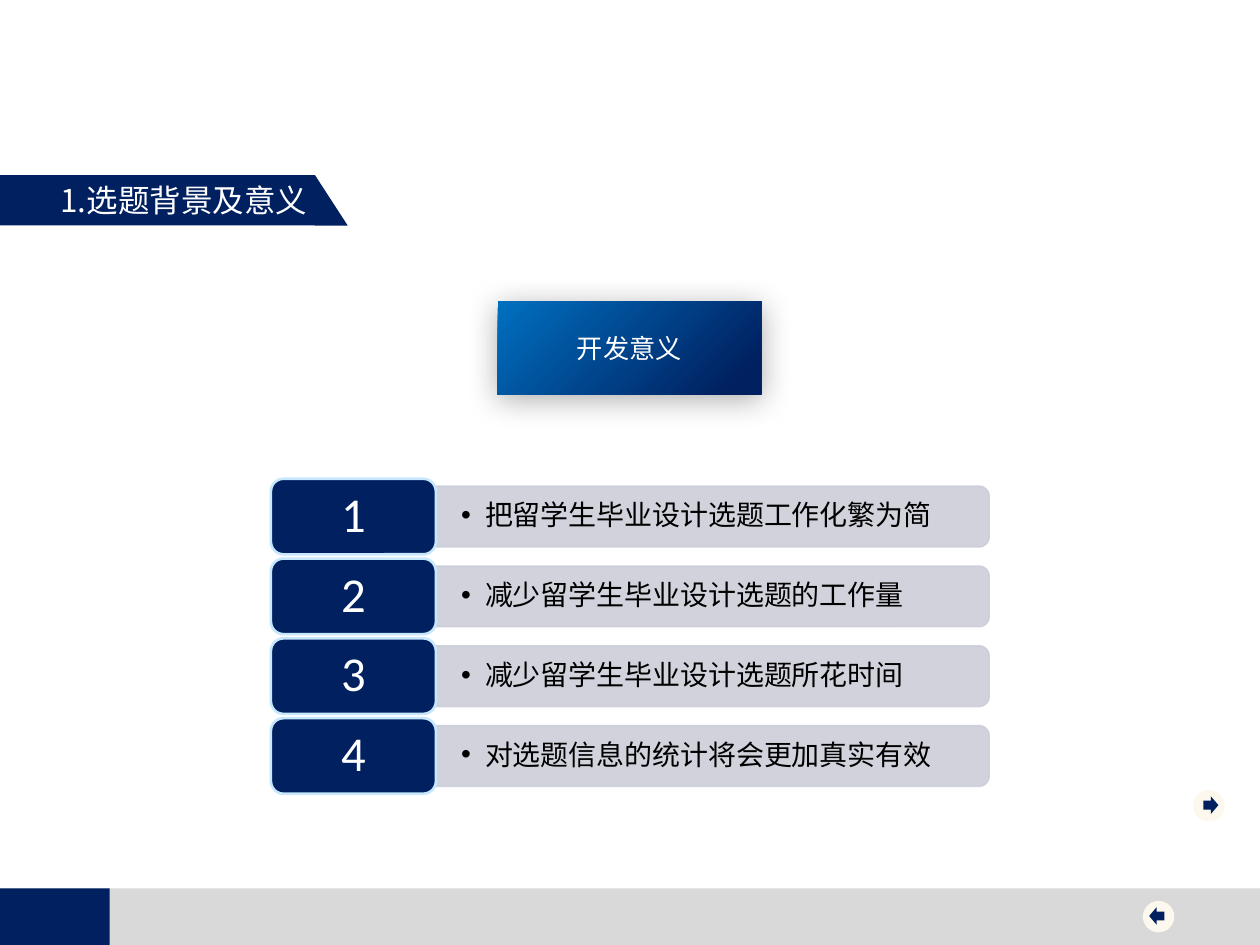
from dataclasses import dataclass
from math import cos, pi, sin

from lxml.etree import SubElement
from pptx import Presentation
from pptx.dml.color import RGBColor
from pptx.enum.shapes import MSO_SHAPE
from pptx.enum.text import MSO_ANCHOR, MSO_AUTO_SIZE, PP_ALIGN
from pptx.oxml.ns import qn
from pptx.util import Inches, Pt


@dataclass(frozen=True)
class Theme:
    navy: str = "002060"
    blue: str = "0070C0"
    grey: str = "D9D9D9"
    cream: str = "FCF8ED"
    bar: str = "CCCED9"
    edge: str = "C6E7FC"
    white: str = "FFFFFF"
    black: str = "000000"
    latin: str = "Calibri"
    cjk: str = "Noto Sans CJK SC"
    head: float = 18
    label: float = 15
    item: float = 16
    num: float = 27.8


T = Theme()
ITEMS = [
    "把留学生毕业设计选题工作化繁为简",
    "减少留学生毕业设计选题的工作量",
    "减少留学生毕业设计选题所花时间",
    "对选题信息的统计将会更加真实有效",
]


def rgb(code):
    return RGBColor.from_string(code)


def assign(obj, form):
    for name, value in form.items():
        setattr(obj, name, value)


def paint(shape, fill, line=None, width=1):
    shape.shadow.inherit = False
    shape.fill.solid()
    shape.fill.fore_color.rgb = rgb(fill)
    if line:
        shape.line.color.rgb = rgb(line)
        shape.line.width = Pt(width)
    else:
        shape.line.fill.background()


def draw(slide, kind, box, fill, line=None, width=1):
    shape = slide.shapes.add_shape(kind, *map(Inches, box))
    paint(shape, fill, line, width)
    return shape


def write(shape, text, size, color, font, pad, align=PP_ALIGN.CENTER, space=1.0):
    """Fill a shape with one line of text; pad is (side, top)."""
    frame = shape.text_frame
    side, top = map(Inches, pad)
    assign(frame, dict(
        text=text, word_wrap=True, auto_size=MSO_AUTO_SIZE.NONE,
        vertical_anchor=MSO_ANCHOR.MIDDLE, margin_left=side,
        margin_right=side, margin_top=top, margin_bottom=top))
    para = frame.paragraphs[0]
    assign(para, dict(alignment=align, line_spacing=space))
    run = para.runs[0]
    assign(run.font, dict(size=Pt(size), name=font, bold=False))
    run.font.color.rgb = rgb(color)
    if font == T.cjk:
        SubElement(run.font._element, qn("a:ea"), typeface=font)
    return para


def fade(shape, share):
    """Make the fill and line of a shape partly transparent."""
    for tone in shape._element.spPr.iter(qn("a:srgbClr")):
        SubElement(tone, qn("a:alpha"), val=str(share * 1000))


def footer(slide, box):
    x, y, w, h = box
    draw(slide, MSO_SHAPE.RECTANGLE, box, T.grey)
    draw(slide, MSO_SHAPE.RECTANGLE, (x, y, 0.87, h), T.navy)


def banner(slide, box, text):
    x, y, w, h = box
    tip = 0.26
    draw(slide, MSO_SHAPE.RECTANGLE, (x, y, w - tip, h), T.navy)
    draw(slide, MSO_SHAPE.RIGHT_TRIANGLE, (x + w - tip, y, tip, h), T.navy)
    title = slide.shapes.title
    assign(title, dict(left=Inches(x + 0.38), top=Inches(y),
                       width=Inches(w), height=Inches(h)))
    write(title, text, T.head, T.white, T.cjk, (0.1, 0.05), PP_ALIGN.LEFT)
    slide.shapes._spTree.append(title._element)  # bring to front


def button(slide, box, kind, shift):
    x, y, w, h = box
    draw(slide, MSO_SHAPE.OVAL, box, T.cream)
    draw(slide, kind, (x + shift, y + 0.05, 0.12, 0.14), T.navy)


def label(slide, box, text):
    shape = draw(slide, MSO_SHAPE.RECTANGLE, box, T.navy)
    shape.fill.gradient()
    shape.fill.gradient_angle = 315
    stops = zip(shape.fill.gradient_stops, [(0, T.blue), (0.9, T.navy)])
    for stop, (place, color) in stops:
        stop.position = place
        stop.color.rgb = rgb(color)
    # Soft shadow
    effects = shape._element.spPr.find(qn("a:effectLst"))
    glow = SubElement(effects, qn("a:outerShdw"), blurRad=str(Pt(17.8)),
                      dist=str(Pt(3)), dir=str(87 * 60000), rotWithShape="0")
    tone = SubElement(glow, qn("a:srgbClr"), val=T.black)
    SubElement(tone, qn("a:alpha"), val="33000")
    write(shape, text, T.label, T.white, T.cjk, (0.07, 0.04))


def bar(slide, box, text):
    """A strip whose right corners are round, with one bullet."""
    x, y, w, h = box
    r, steps = 0.08, 8
    turns = [i * pi / 2 / steps for i in range(steps + 1)]
    top = [(x + w - r + r * sin(a), y + r - r * cos(a)) for a in turns]
    low = [(px, 2 * y + h - py) for px, py in reversed(top)]
    points = [(Inches(px), Inches(py)) for px, py in top + low + [(x, y + h)]]
    path = slide.shapes.build_freeform(Inches(x), Inches(y))
    path.add_line_segments(points, close=True)
    shape = path.convert_to_shape()
    paint(shape, T.bar, T.bar)
    fade(shape, 90)
    para = write(shape, text, T.item, T.black, T.latin, (0.2, 0.13),
                 PP_ALIGN.LEFT, 0.9)
    props = para._p.get_or_add_pPr()
    assign_xml = dict(marL=Inches(0.19), indent=-Inches(0.19))
    for name, value in assign_xml.items():
        props.set(name, str(value))
    SubElement(props, qn("a:buFont"), typeface="Arial")
    SubElement(props, qn("a:buChar"), char="•")


def rows(slide, box, items):
    x, y, w, h = box
    tile, high, strip = 1.31, 0.6, 0.48
    pitch = (h - high) / (len(items) - 1)
    for i, text in enumerate(items):
        top = y + i * pitch
        bar(slide, (x + tile, top + (high - strip) / 2, w - tile, strip), text)
        shape = draw(slide, MSO_SHAPE.ROUNDED_RECTANGLE,
                     (x, top, tile, high), T.navy, T.edge, 1.5)
        write(shape, str(i + 1), T.num, T.white, T.latin, (0.15, 0.05), space=0.9)


def main():
    deck = Presentation()
    assign(deck, dict(slide_width=Inches(10), slide_height=Inches(7.5)))
    slide = deck.slides.add_slide(deck.slide_layouts[5])
    footer(slide, (0, 7.05, 10, 0.46))
    banner(slide, (0, 1.39, 2.76, 0.4), "1.选题背景及意义")
    button(slide, (9.47, 6.27, 0.25, 0.25), MSO_SHAPE.RIGHT_ARROW, 0.08)
    button(slide, (9.07, 7.15, 0.25, 0.25), MSO_SHAPE.LEFT_ARROW, 0.05)
    rows(slide, (2.15, 3.8, 5.7, 2.5), ITEMS)
    label(slide, (3.95, 2.39, 2.09, 0.74), "开发意义")
    deck.save("out.pptx")


if __name__ == "__main__":
    main()
